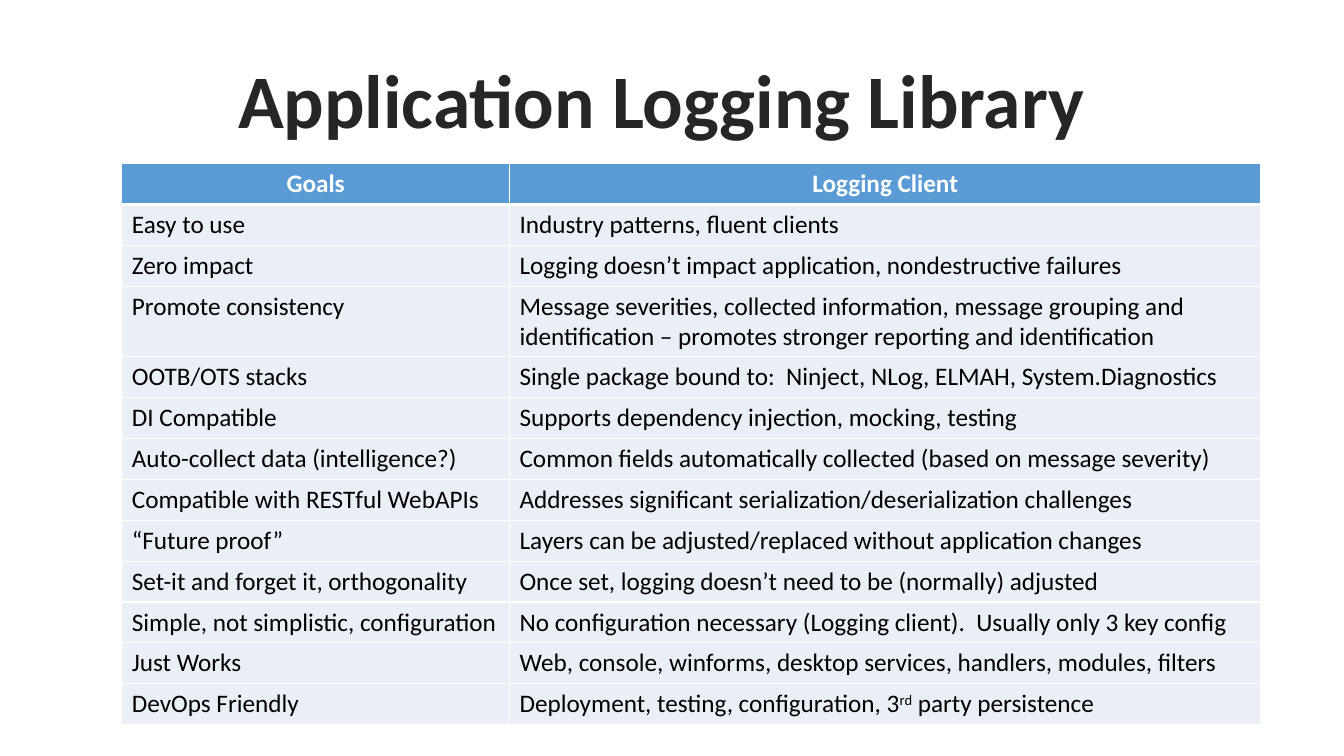
from lxml.etree import SubElement
from pptx import Presentation
from pptx.dml.color import RGBColor
from pptx.enum.text import MSO_AUTO_SIZE, PP_ALIGN
from pptx.oxml.ns import qn
from pptx.util import Cm, Pt

TITLE = "Application Logging Library"
HEADER = ("Goals", "Logging Client")
GOALS = [
    ("Easy to use", "Industry patterns, fluent clients"),
    ("Zero impact", "Logging doesn’t impact application, nondestructive failures"),
    ("Promote consistency", "Message severities, collected information, message grouping and "
     "identification – promotes stronger reporting and identification"),
    ("OOTB/OTS stacks", "Single package bound to:  Ninject, NLog, ELMAH, System.Diagnostics"),
    ("DI Compatible", "Supports dependency injection, mocking, testing"),
    ("Auto-collect data (intelligence?)",
     "Common fields automatically collected (based on message severity)"),
    ("Compatible with RESTful WebAPIs",
     "Addresses significant serialization/deserialization challenges"),
    ("“Future proof”", "Layers can be adjusted/replaced without application changes"),
    ("Set-it and forget it, orthogonality",
     "Once set, logging doesn’t need to be (normally) adjusted"),
    ("Simple, not simplistic, configuration",
     "No configuration necessary (Logging client).  Usually only 3 key config"),
    ("Just Works", "Web, console, winforms, desktop services, handlers, modules, filters"),
    ("DevOps Friendly", "Deployment, testing, configuration, 3^rd^ party persistence"),
]

WHITE = RGBColor(0xFF, 0xFF, 0xFF)
BLACK = RGBColor(0x00, 0x00, 0x00)
CHARCOAL = RGBColor(0x26, 0x26, 0x26)
BLUE = RGBColor(0x5B, 0x9B, 0xD5)
PALE_BLUE = RGBColor(0xEA, 0xEF, 0xF7)

TITLE_FORMAT = {"name": "Calibri", "size": Pt(54), "bold": True}
HEADER_FORMAT = {"name": "Calibri", "size": Pt(18), "bold": True}
BODY_FORMAT = {"name": "Calibri", "size": Pt(18), "bold": False}
COLUMN_WIDTHS = (Cm(9.77), Cm(18.94))
ROW_HEIGHT = Cm(1.03)


def add_line(properties, tag, width):
    line = SubElement(properties, qn(tag), w=str(int(width)))
    fill = SubElement(line, qn("a:solidFill"))
    SubElement(fill, qn("a:srgbClr"), val=str(WHITE))
    return line


def write(frame, text, formats, color, align):
    para = frame.paragraphs[0]
    para.alignment = align
    for position, part in enumerate(text.split("^")):
        span = para.add_run()
        span.text = part
        for key, value in formats.items():
            setattr(span.font, key, value)
        span.font.color.rgb = color
        if position % 2:
            span._r.get_or_add_rPr().set("baseline", "30000")
    return para


def add_title(page):
    box = page.shapes.add_textbox(Cm(5.61), Cm(1.22), Cm(22.12), Cm(2.57))
    frame = box.text_frame
    frame.word_wrap = False
    frame.auto_size = MSO_AUTO_SIZE.SHAPE_TO_FIT_TEXT
    para = write(frame, TITLE, TITLE_FORMAT, CHARCOAL, PP_ALIGN.CENTER)
    properties = para.runs[0]._r.get_or_add_rPr()
    properties.insert(0, add_line(properties, "a:ln", Pt(1.06)))


def add_goals(page):
    rows = [HEADER] + GOALS
    table = page.shapes.add_table(len(rows), len(HEADER), Cm(3.07), Cm(4.12),
                                  sum(COLUMN_WIDTHS), ROW_HEIGHT * len(rows)).table
    table.horz_banding = False
    for column, width in zip(table.columns, COLUMN_WIDTHS):
        column.width = width
    for row_index, texts in enumerate(rows):
        table.rows[row_index].height = ROW_HEIGHT
        header = row_index == 0
        edges = {"a:lnL": 1, "a:lnR": 1, "a:lnT": 3 if row_index == 1 else 1,
                 "a:lnB": 3 if header else 1}
        for column_index, text in enumerate(texts):
            cell = table.cell(row_index, column_index)
            for tag, width in edges.items():
                add_line(cell._tc.get_or_add_tcPr(), tag, Pt(width))
            cell.fill.solid()
            cell.fill.fore_color.rgb = BLUE if header else PALE_BLUE
            write(cell.text_frame, text, HEADER_FORMAT if header else BODY_FORMAT,
                  WHITE if header else BLACK, PP_ALIGN.CENTER if header else PP_ALIGN.LEFT)


def main():
    deck = Presentation()
    deck.slide_width, deck.slide_height = Cm(33.87), Cm(19.05)
    page = deck.slides.add_slide(deck.slide_layouts[6])
    add_title(page)
    add_goals(page)
    deck.save("out.pptx")


if __name__ == "__main__":
    main()
